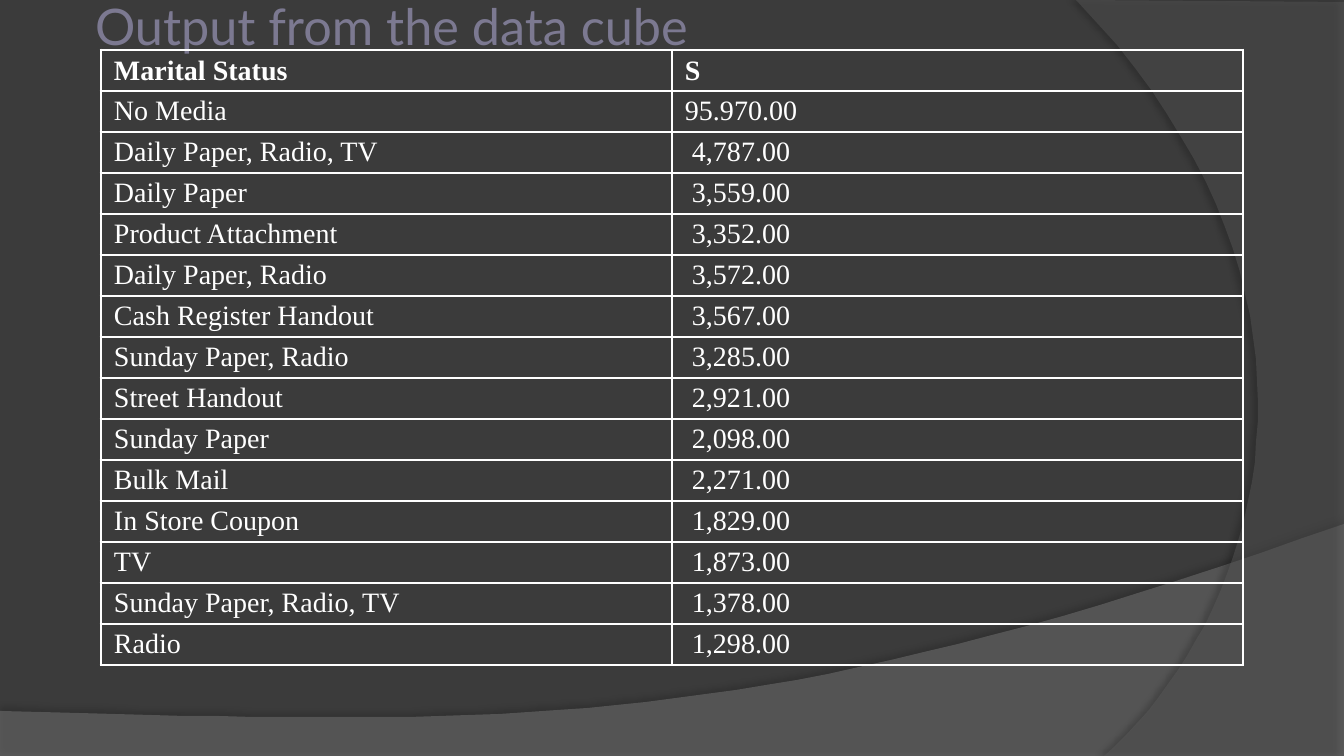
import pptx
import pptx.util
import pptx.dml.color
import pptx.enum.text
import pptx.oxml
import pptx.oxml.ns

PX = 914400 / 100.8


def px(n):
    return pptx.util.Emu(round(n * PX))


def paint(hue):
    return pptx.dml.color.RGBColor.from_string(hue)


deck = pptx.Presentation()
deck.slide_width, deck.slide_height = px(1344), px(756)
slide = deck.slides.add_slide(deck.slide_layouts[5])
slide.background.fill.solid()
slide.background.fill.fore_color.rgb = paint("3B3B3B")
ns = pptx.oxml.ns.nsdecls("a")

waves = [
    ([(0, 711), (0, 756), (1344, 756)],
     [(1344, 524), (751, 735), (525, 725), (0, 711)],
     "7F7F7F", 45, 35, 4, 3.5, 270),
    ([(1344, 2), (1344, 756)],
     [(1104, 756), (1256, 624), (1368, 302), (1076, 0)],
     "5E5E5E", 40, 45, 4, 4, 180),
]
for edge, curve, hue, clear, shade, blur, gap, turn in waves:
    points = list(edge)
    for step in range(41):
        t = step / 40
        parts = ((1 - t) ** 3, 3 * t * (1 - t) ** 2, 3 * t * t * (1 - t), t ** 3)
        points.append(tuple(sum(w * p[i] for w, p in zip(parts, curve)) for i in (0, 1)))
    form = slide.shapes.build_freeform(*points[0], scale=PX)
    form.add_line_segments(points[1:], close=True)
    wave = form.convert_to_shape()
    wave.line.fill.background()
    wave.fill.solid()
    wave.fill.fore_color.rgb = paint(hue)
    props = wave._element.spPr
    tint = props.find(".//" + pptx.oxml.ns.qn("a:srgbClr"))
    tint.append(pptx.oxml.parse_xml(f'<a:alpha {ns} val="{clear * 1000}"/>'))
    props.append(pptx.oxml.parse_xml(
        f'<a:effectLst {ns}><a:outerShdw blurRad="{pptx.util.Pt(blur)}" '
        f'dist="{pptx.util.Pt(gap)}" dir="{turn * 60000}" algn="ctr" rotWithShape="0">'
        f'<a:srgbClr val="000000"><a:alpha val="{shade * 1000}"/></a:srgbClr>'
        '</a:outerShdw></a:effectLst>'))

title = slide.shapes.title
title._element.getparent().append(title._element)
title.left, title.top, title.width, title.height = px(90), px(0), px(1142), px(50)
frame = title.text_frame
frame.text = "Output from the data cube"
frame.word_wrap = True
frame.auto_size = pptx.enum.text.MSO_AUTO_SIZE.NONE
frame.vertical_anchor = pptx.enum.text.MSO_ANCHOR.MIDDLE
frame.margin_left = frame.margin_right = frame.margin_top = frame.margin_bottom = px(5)
head = frame.paragraphs[0]
head.alignment = pptx.enum.text.PP_ALIGN.LEFT
head.font.name = "Lato"
head.font.size = pptx.util.Pt(36)
head.font.color.rgb = paint("7C7991")

rows = [
    ("Marital Status", "S"),
    ("No Media", "95.970.00"),
    ("Daily Paper, Radio, TV", "4,787.00"),
    ("Daily Paper", "3,559.00"),
    ("Product Attachment", "3,352.00"),
    ("Daily Paper, Radio", "3,572.00"),
    ("Cash Register Handout", "3,567.00"),
    ("Sunday Paper, Radio", "3,285.00"),
    ("Street Handout", "2,921.00"),
    ("Sunday Paper", "2,098.00"),
    ("Bulk Mail", "2,271.00"),
    ("In Store Coupon", "1,829.00"),
    ("TV", "1,873.00"),
    ("Sunday Paper, Radio, TV", "1,378.00"),
    ("Radio", "1,298.00"),
]
last = len(rows) - 1
grid = slide.shapes.add_table(
    len(rows), 2, px(101), px(50), px(1142), px(41 * len(rows))).table
grid.first_row = grid.horz_banding = False
for r, row in enumerate(rows):
    grid.rows[r].height = px(41)
    for c, text in enumerate(row):
        cell = grid.cell(r, c)
        cell.text = text
        cell.margin_left = px(20 if c == 1 and r > 1 else 13)
        cell.margin_right = px(13)
        cell.margin_top, cell.margin_bottom = px(5), px(4)
        para = cell.text_frame.paragraphs[0]
        para.font.name = "Times New Roman"
        para.font.size = pptx.util.Pt(20)
        para.font.bold = r == 0
        para.font.color.rgb = paint("FFFFFF")
        sides = {"L": c == 0, "R": c == 1, "T": r == 0, "B": r == last}
        for side, outer in sides.items():
            wide = pptx.util.Pt(2.25 if outer else 1)
            cell._tc.get_or_add_tcPr().append(pptx.oxml.parse_xml(
                f'<a:ln{side} {ns} w="{wide}"><a:solidFill><a:srgbClr val="FFFFFF"/>'
                f'</a:solidFill></a:ln{side}>'))
        cell.fill.background()

deck.save("out.pptx")
